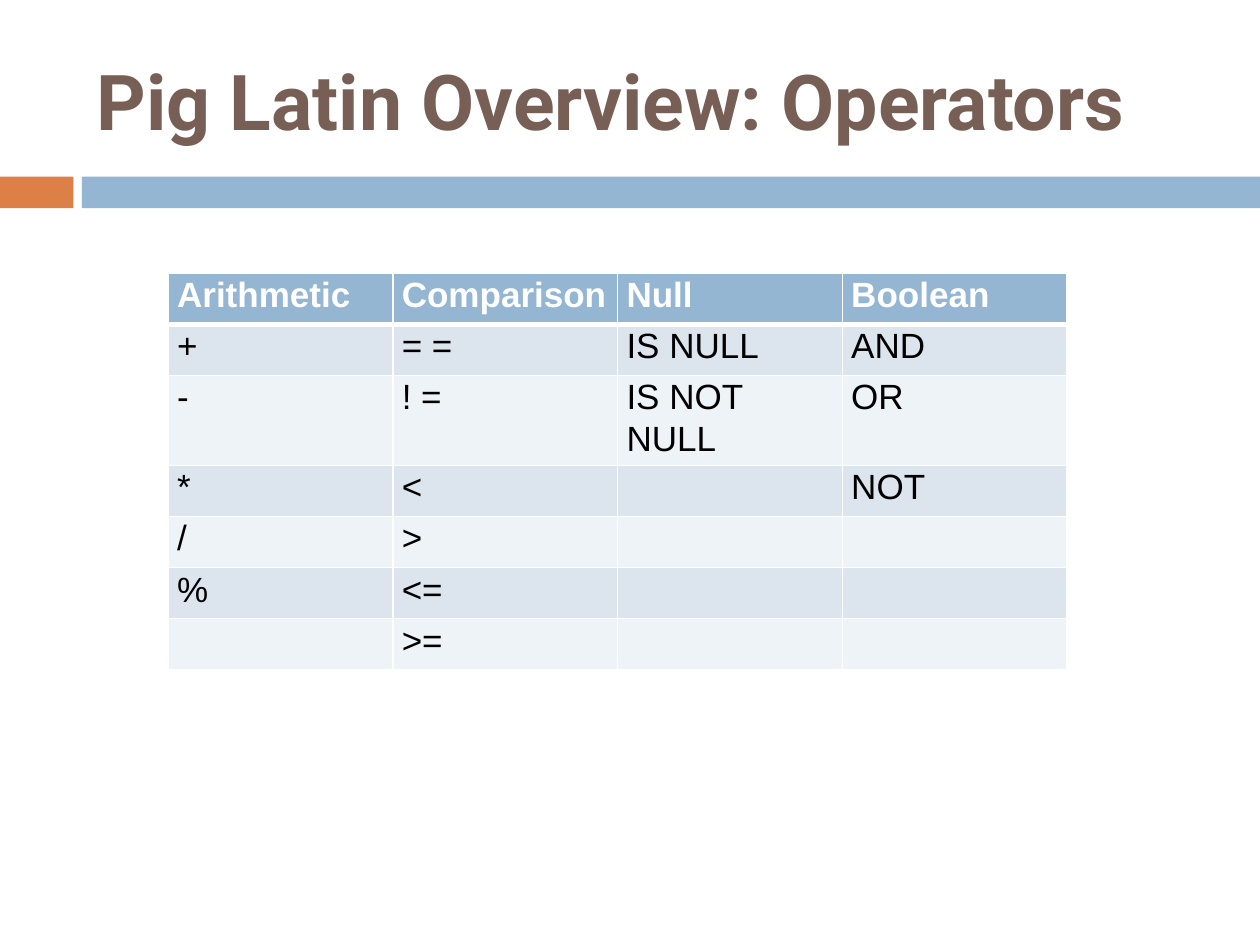
from dataclasses import dataclass

from lxml.etree import SubElement
from pptx import Presentation
from pptx.dml.color import RGBColor
from pptx.enum.shapes import MSO_SHAPE
from pptx.enum.text import MSO_ANCHOR
from pptx.oxml.ns import qn
from pptx.slide import Slide
from pptx.table import _Cell
from pptx.util import Cm, Pt

ORANGE = RGBColor(0xDD, 0x80, 0x47)
BLUE = RGBColor(0x94, 0xB6, 0xD2)
BROWN = RGBColor(0x77, 0x5F, 0x55)
WHITE = RGBColor(0xFF, 0xFF, 0xFF)
BLACK = RGBColor(0x00, 0x00, 0x00)
DARK_BAND = RGBColor(0xDC, 0xE5, 0xEE)
LIGHT_BAND = RGBColor(0xEE, 0xF3, 0xF7)

OPERATORS = (
    ("Arithmetic", "Comparison", "Null", "Boolean"),
    ("+", "= =", "IS NULL", "AND"),
    ("-", "! =", "IS NOT NULL", "OR"),
    ("*", "<", "", "NOT"),
    ("/", ">", "", ""),
    ("%", "<=", "", ""),
    ("", ">=", "", ""),
)
COLUMN_WIDTH = Cm(4.53)
ROW_HEIGHT = Cm(1.03)


@dataclass(frozen=True)
class Bar:
    left: Cm
    width: Cm
    color: RGBColor


@dataclass(frozen=True)
class RowStyle:
    fill: RGBColor
    color: RGBColor
    bold: bool
    top: float
    bottom: float


BARS = (Bar(Cm(0), Cm(1.48), ORANGE), Bar(Cm(1.65), Cm(23.75), BLUE))


def add_bar(s: Slide, bar: Bar) -> None:
    sp = s.shapes.add_shape(MSO_SHAPE.RECTANGLE, bar.left, Cm(3.56), bar.width, Cm(0.64))
    sp.shadow.inherit = False
    sp.fill.solid()
    sp.fill.fore_color.rgb = bar.color
    sp.line.fill.background()


def add_title(s: Slide, text: str) -> None:
    tf = s.shapes.add_textbox(Cm(1.7), Cm(0.64), Cm(22.66), Cm(2.74)).text_frame
    tf.word_wrap = True
    tf.vertical_anchor = MSO_ANCHOR.MIDDLE
    p = tf.paragraphs[0]
    p.text = text
    p.font.name, p.font.size, p.font.bold = "Roboto", Pt(44), True
    p.font.color.rgb = BROWN


def row_style(row: int) -> RowStyle:
    if row == 0:
        return RowStyle(BLUE, WHITE, True, 1, 3)
    fill = DARK_BAND if row % 2 else LIGHT_BAND
    return RowStyle(fill, BLACK, False, 3 if row == 1 else 1, 1)


def set_border(cell: _Cell, side: str, width: float) -> None:
    ln = SubElement(cell._tc.get_or_add_tcPr(), qn(f"a:{side}"), w=str(Pt(width)))
    SubElement(SubElement(ln, qn("a:solidFill")), qn("a:srgbClr"), val=str(WHITE))


def fill_cell(cell: _Cell, text: str, style: RowStyle) -> None:
    borders = {"lnL": 1, "lnR": 1, "lnT": style.top, "lnB": style.bottom}
    for side, width in borders.items():
        set_border(cell, side, width)
    cell.fill.solid()
    cell.fill.fore_color.rgb = style.fill
    cell.margin_left = cell.margin_right = Cm(0.18)
    cell.margin_top = cell.margin_bottom = Cm(0)
    p = cell.text_frame.paragraphs[0]
    p.text = text
    p.line_spacing = 1.07
    p.font.name, p.font.size, p.font.bold = "Arial", Pt(20), style.bold
    p.font.color.rgb = style.color


def add_operator_table(s: Slide) -> None:
    rows, cols = len(OPERATORS), len(OPERATORS[0])
    table = s.shapes.add_table(
        rows, cols, Cm(3.39), Cm(5.51), COLUMN_WIDTH * cols, ROW_HEIGHT * rows
    ).table
    for column in table.columns:
        column.width = COLUMN_WIDTH
    for r, texts in enumerate(OPERATORS):
        table.rows[r].height = ROW_HEIGHT
        for c, text in enumerate(texts):
            fill_cell(table.cell(r, c), text, row_style(r))


def main() -> None:
    """Build the slide of Pig Latin operators."""
    prs = Presentation()
    prs.slide_width, prs.slide_height = Cm(25.4), Cm(19.05)
    s = prs.slides.add_slide(prs.slide_layouts[6])
    for bar in BARS:
        add_bar(s, bar)
    add_title(s, "Pig Latin Overview: Operators")
    add_operator_table(s)
    prs.save("out.pptx")


if __name__ == "__main__":
    main()
